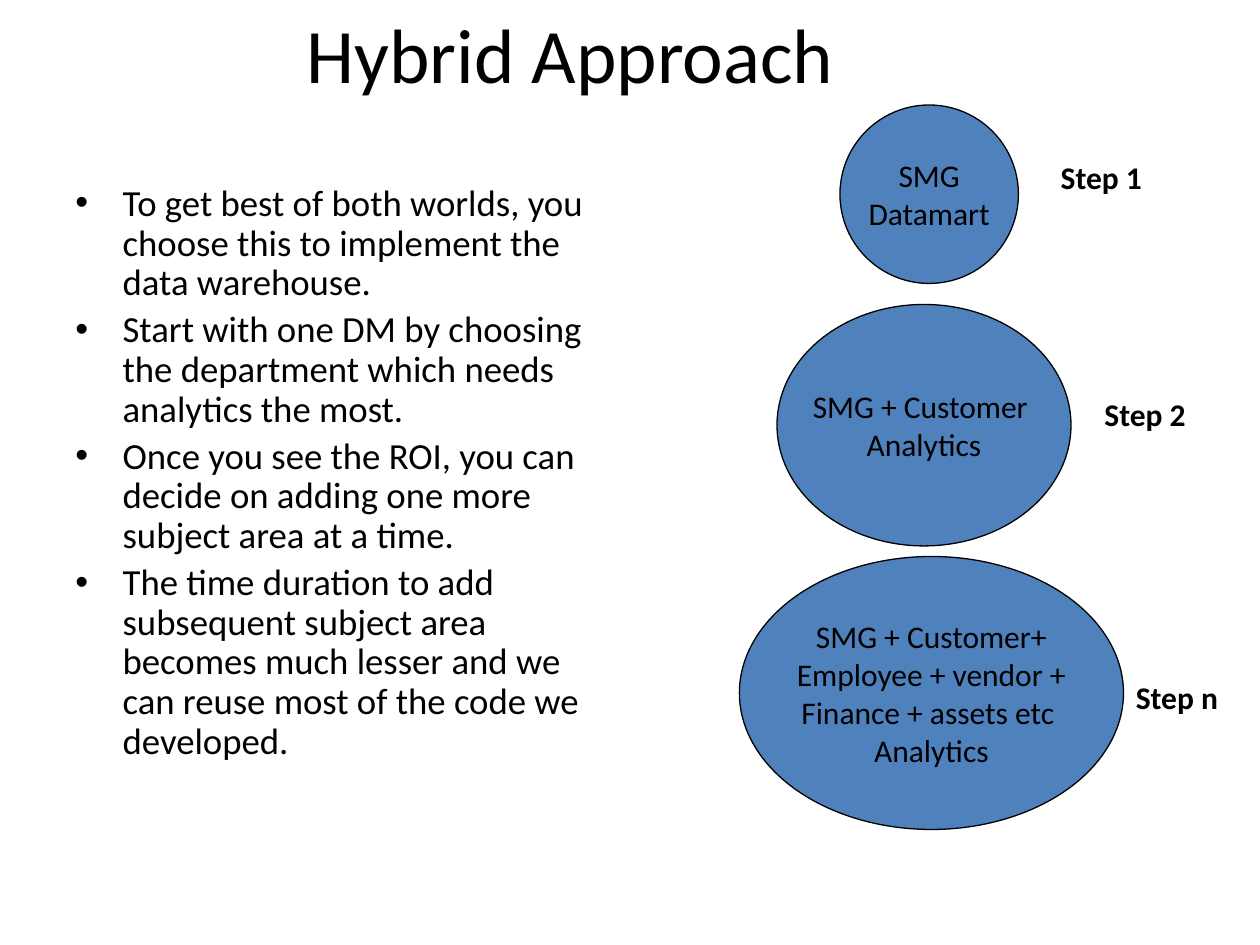
"""Build the Hybrid Approach slide: bullets beside data marts that grow by step."""
from lxml.etree import SubElement
from pptx import Presentation
from pptx.dml.color import RGBColor
from pptx.enum.shapes import MSO_SHAPE
from pptx.enum.text import MSO_ANCHOR, MSO_AUTO_SIZE, PP_ALIGN
from pptx.oxml.ns import qn
from pptx.util import Pt

BLACK = RGBColor(0x00, 0x00, 0x00)
BLUE = RGBColor(0x4F, 0x81, 0xBD)
FONT = "Calibri"

POINTS = [
    "To get best of both worlds, you choose this to implement the data warehouse.",
    "Start with one DM by choosing the department which needs analytics the most.",
    "Once you see the ROI, you can decide on adding one more subject area at a time.",
    "The time duration to add subsequent subject area becomes much lesser and we "
    "can reuse most of the code we developed.",
]

STEPS = [
    (["SMG", "Datamart"], (480, 60, 102, 102), "Step 1", (599, 87, 68.4, 29)),
    (["SMG + Customer ", "Analytics"], (444, 174, 168, 138),
     "Step 2", (624, 222, 68.4, 29)),
    (["SMG + Customer+", "Employee + vendor +", "Finance + assets etc ", "Analytics"],
     (422.5, 318, 219.5, 156), "Step n", (642, 384, 69.8, 29)),
]


def write_lines(frame, lines, size, bold=False, align=PP_ALIGN.LEFT):
    frame.text = "\n".join(lines)
    for paragraph in frame.paragraphs:
        paragraph.alignment = align
        font = paragraph.font
        font.name, font.size, font.bold = FONT, Pt(size), bold
        font.color.rgb = BLACK


def add_text(slide, box, lines, size, bold=False, wrap=True):
    frame = slide.shapes.add_textbox(*map(Pt, box)).text_frame
    frame.word_wrap = wrap
    write_lines(frame, lines, size, bold)
    return frame


def add_bullets(slide, box, points, size):
    for paragraph in add_text(slide, box, points, size).paragraphs:
        paragraph.line_spacing = 0.9
        paragraph.space_before = Pt(size * 0.2)
        properties = paragraph._p.get_or_add_pPr()
        properties.set("marL", str(Pt(27)))
        properties.set("indent", str(-Pt(27)))
        bullet_font = SubElement(properties, qn("a:buFont"))
        bullet_font.set("typeface", "Arial")
        SubElement(properties, qn("a:buChar")).set("char", "•")


def add_mart(slide, box, lines):
    mart = slide.shapes.add_shape(MSO_SHAPE.OVAL, *map(Pt, box))
    mart.shadow.inherit = False
    mart.fill.solid()
    mart.fill.fore_color.rgb = BLUE
    mart.line.color.rgb = BLACK
    mart.line.width = Pt(0.75)
    frame = mart.text_frame
    frame.word_wrap = False
    frame.vertical_anchor = MSO_ANCHOR.MIDDLE
    write_lines(frame, lines, 18, align=PP_ALIGN.CENTER)


def main():
    deck = Presentation()
    deck.slide_width, deck.slide_height = Pt(720), Pt(540)
    slide = deck.slides.add_slide(deck.slide_layouts[6])
    add_text(slide, (168, 0, 486, 60), ["Hybrid Approach"], 44)
    add_bullets(slide, (36, 102, 324, 381), POINTS, 21)
    for mart_lines, mart_box, step, step_box in STEPS:
        add_mart(slide, mart_box, mart_lines)
        label = add_text(slide, step_box, [step], 18, bold=True, wrap=False)
        label.auto_size = MSO_AUTO_SIZE.SHAPE_TO_FIT_TEXT
    deck.save("out.pptx")


if __name__ == "__main__":
    main()
